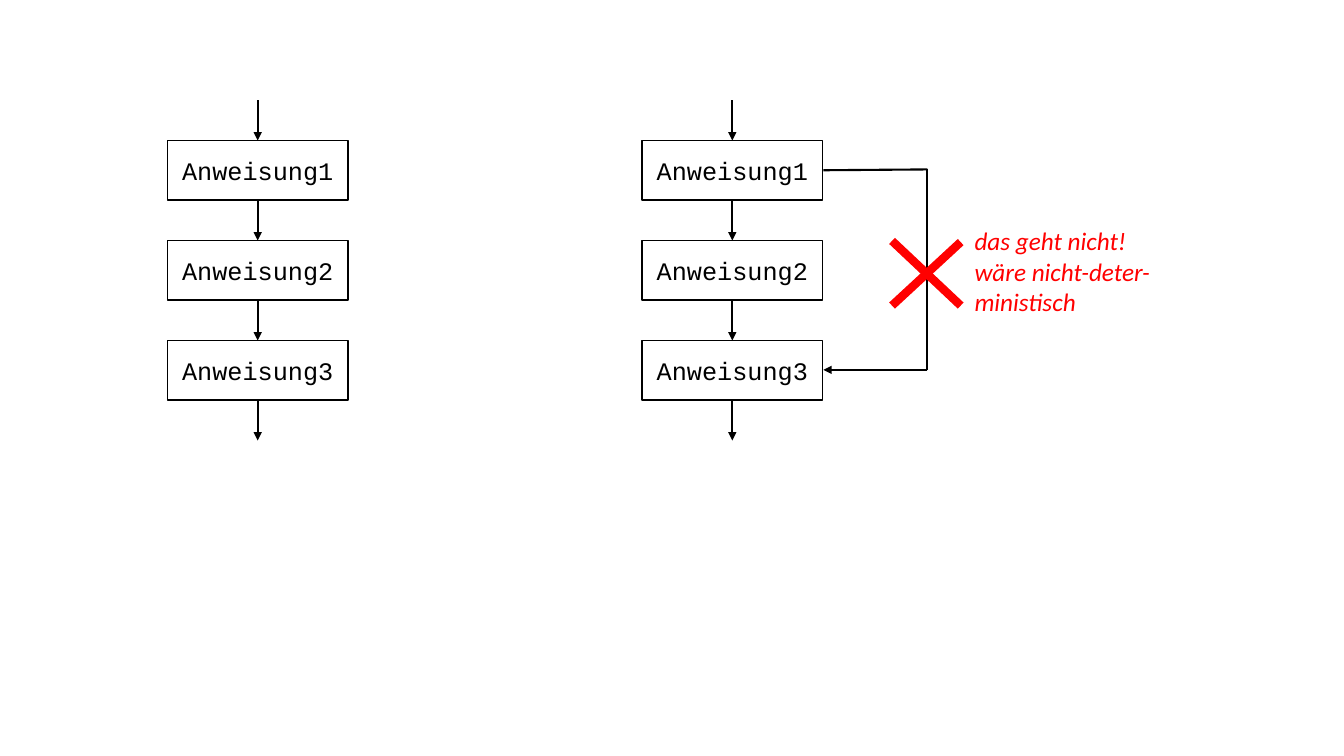
"""Builds a slide with two statement sequences, one with a forbidden jump."""
from dataclasses import dataclass

from pptx import Presentation
from pptx.dml.color import RGBColor
from pptx.enum.shapes import MSO_CONNECTOR as Connector, MSO_SHAPE as Shape
from pptx.enum.text import MSO_ANCHOR as Anchor, MSO_AUTO_SIZE as AutoSize, PP_ALIGN as Align
from pptx.oxml.ns import qn
from pptx.slide import Slide
from pptx.text.text import TextFrame
from pptx.util import Cm, Pt
from lxml.etree import SubElement

BLACK = "000000"
RED = "FF0000"
STATEMENTS = ["Anweisung1", "Anweisung2", "Anweisung3"]
NOTE = ["das geht nicht!", "wäre nicht-deter-", "ministisch"]
BOX_WIDTH, BOX_HEIGHT, ARROW_LENGTH = 4.55, 1.5, 1.02
FLOW_TOP = 2.52
FLOW_LEFTS = [4.22, 16.18]
BYPASS_X, FLOW_RIGHT = 23.37, 20.75
CROSS_LEFT, CROSS_RIGHT, CROSS_BOTTOM = 22.48, 24.21, 7.7


@dataclass
class Line:
    x1: float
    y1: float
    x2: float
    y2: float
    color: str = BLACK
    width: float = 1.5
    arrow: bool = False


BYPASS = [
    Line(BYPASS_X, 4.27, BYPASS_X, 9.32),
    Line(BYPASS_X, 9.32, FLOW_RIGHT, 9.32, arrow=True),
    Line(FLOW_RIGHT, 4.29, BYPASS_X, 4.27),
]
CROSS = [
    Line(CROSS_LEFT, 6.07, CROSS_RIGHT, CROSS_BOTTOM, RED, 6),
    Line(CROSS_RIGHT, 6.1, CROSS_LEFT, CROSS_BOTTOM, RED, 6),
]


def rgb(color: str) -> RGBColor:
    return RGBColor.from_string(color)


def write(frame: TextFrame, lines: list[str], font: str, color: str,
          align: Align, italic: bool = False) -> None:
    frame.word_wrap = False
    for index, text in enumerate(lines):
        para = frame.add_paragraph() if index else frame.paragraphs[0]
        para.text = text
        para.alignment = align
        para.font.name = font
        para.font.size = Pt(18)
        para.font.italic = italic
        para.font.color.rgb = rgb(color)


def draw_line(page: Slide, line: Line) -> None:
    connector = page.shapes.add_connector(
        Connector.STRAIGHT, Cm(line.x1), Cm(line.y1), Cm(line.x2), Cm(line.y2))
    connector.line.color.rgb = rgb(line.color)
    connector.line.width = Pt(line.width)
    properties = connector._element.spPr
    if line.arrow:
        SubElement(properties.find(qn("a:ln")), qn("a:tailEnd"), type="triangle")
    SubElement(properties, qn("a:effectLst"))


def draw_statement(page: Slide, left: float, top: float, text: str) -> None:
    box = page.shapes.add_shape(
        Shape.RECTANGLE, Cm(left), Cm(top), Cm(BOX_WIDTH), Cm(BOX_HEIGHT))
    box.shadow.inherit = False
    box.fill.background()
    box.line.color.rgb = rgb(BLACK)
    box.line.width = Pt(1)
    box.text_frame.vertical_anchor = Anchor.MIDDLE
    write(box.text_frame, [text], "Courier New", BLACK, Align.CENTER)


def draw_flow(page: Slide, left: float) -> None:
    center = left + BOX_WIDTH / 2
    step = BOX_HEIGHT + ARROW_LENGTH
    for index, text in enumerate(STATEMENTS):
        draw_statement(page, left, FLOW_TOP + index * step + ARROW_LENGTH, text)
    for index in range(len(STATEMENTS) + 1):
        start = FLOW_TOP + index * step
        draw_line(page, Line(center, start, center, start + ARROW_LENGTH, arrow=True))


def draw_note(page: Slide) -> None:
    box = page.shapes.add_textbox(Cm(24.31), Cm(5.56), Cm(5), Cm(2.57))
    write(box.text_frame, NOTE, "Calibri", RED, Align.LEFT, italic=True)
    box.text_frame.auto_size = AutoSize.SHAPE_TO_FIT_TEXT


def main() -> None:
    deck = Presentation()
    deck.slide_width, deck.slide_height = Cm(33.87), Cm(19.05)
    page = deck.slides.add_slide(deck.slide_layouts.get_by_name("Blank"))
    for left in FLOW_LEFTS:
        draw_flow(page, left)
    for line in BYPASS + CROSS:
        draw_line(page, line)
    draw_note(page)
    deck.save("out.pptx")


if __name__ == "__main__":
    main()
